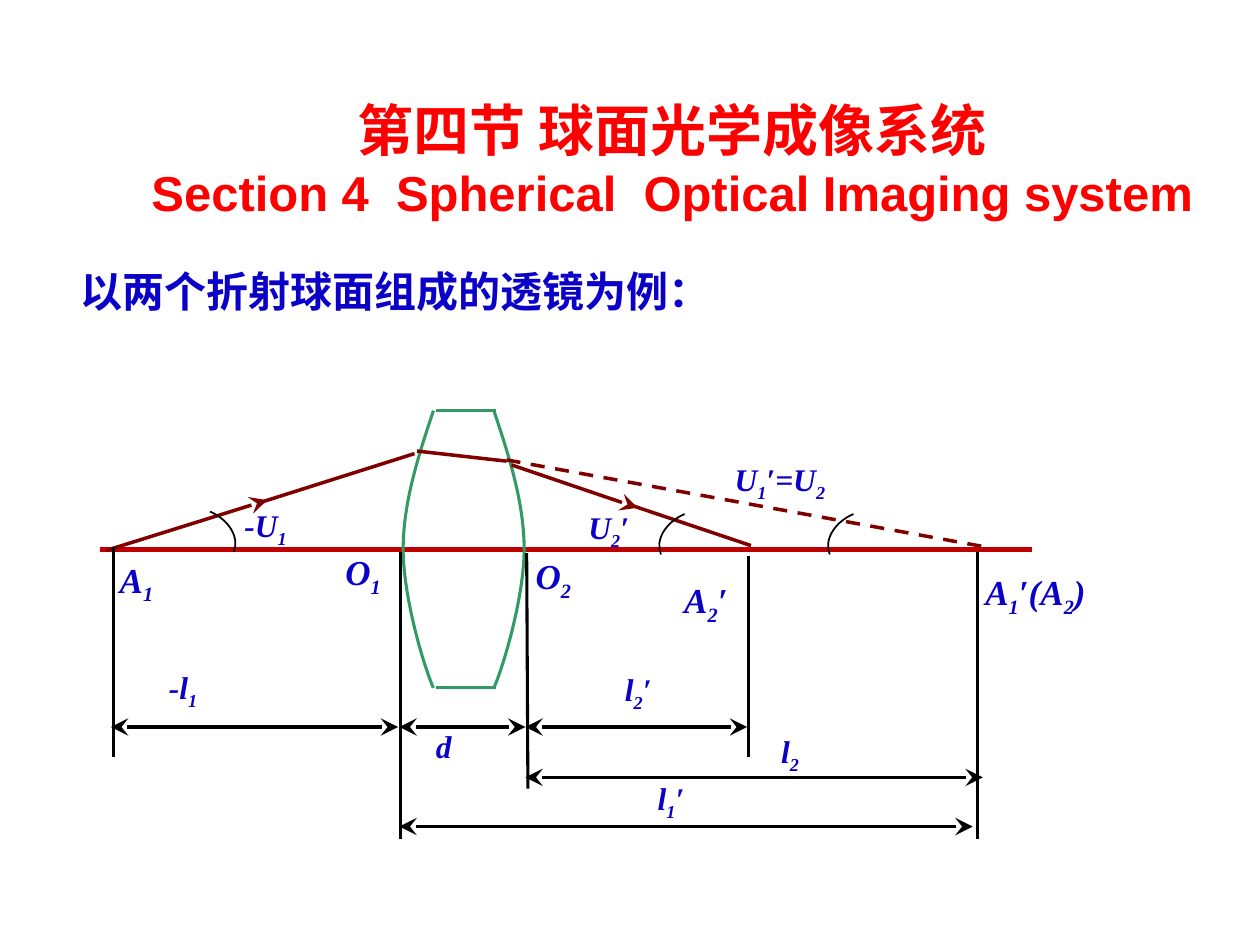
from pptx import Presentation
from pptx.dml.color import RGBColor
from pptx.enum.dml import MSO_LINE
from pptx.enum.shapes import MSO_CONNECTOR
from pptx.enum.text import MSO_ANCHOR, MSO_AUTO_SIZE, PP_ALIGN
from pptx.oxml.ns import qn
from pptx.oxml.xmlchemy import OxmlElement
from pptx.util import Inches, Pt

RED, BLUE, AXIS, GREEN, RAY, BLACK = "FF0000", "0A00C8", "C00000", "339966", "800000", "000000"
CHINESE, LATIN, SYMBOL = "Noto Sans CJK SC", "Arial", "Times New Roman"


def color(value):
    return RGBColor.from_string(value)


def set_all(target, values):
    for name, value in values.items():
        setattr(target, name, value)


def add_element(parent, tag, **attributes):
    element = OxmlElement(tag)
    for name, value in attributes.items():
        element.set(name, str(value))
    parent.append(element)
    return element


class LensDiagram:
    """Draws styled text, lines and curves of an optical diagram on one slide."""

    frame_defaults = {"word_wrap": True, "auto_size": MSO_AUTO_SIZE.NONE}
    label_frame = {"margin_left": 0, "margin_right": 0, "margin_top": 0, "margin_bottom": 0,
                   "auto_size": MSO_AUTO_SIZE.SHAPE_TO_FIT_TEXT}

    def __init__(self, slide):
        self.slide = slide

    def text_frame(self, box, values):
        frame = self.slide.shapes.add_textbox(*map(Inches, box)).text_frame
        set_all(frame, {**self.frame_defaults, **values})
        return frame

    def run(self, paragraph, text, size, font_name, hex_color, italic=False):
        run = paragraph.add_run()
        run.text = text
        set_all(run.font, {"name": font_name, "size": Pt(size), "bold": True, "italic": italic})
        run.font.color.rgb = color(hex_color)
        add_element(run.font._element, "a:ea", typeface=font_name)
        return run

    def title(self, box, first_line, second_line):
        paragraph = self.text_frame(box, {"vertical_anchor": MSO_ANCHOR.MIDDLE}).paragraphs[0]
        paragraph.alignment = PP_ALIGN.CENTER
        self.run(paragraph, first_line, 32, CHINESE, RED)
        paragraph.add_line_break()
        self.run(paragraph, second_line, 28, LATIN, RED)

    def body(self, box, text):
        paragraph = self.text_frame(box, {}).paragraphs[0]
        paragraph.space_before = Pt(5)
        properties = paragraph._element.get_or_add_pPr()
        properties.set("marL", str(Inches(0.67)))
        properties.set("indent", str(-Inches(0.67)))
        self.run(paragraph, text, 24, CHINESE, BLUE)

    def label(self, text, left, top, width, size):
        box = (left, top, width, size / 60)
        paragraph = self.text_frame(box, self.label_frame).paragraphs[0]
        base, *indexed = text.split("_")
        self.run(paragraph, base, size, SYMBOL, BLUE, True)
        for part in indexed:
            subscript = self.run(paragraph, part[0], size, SYMBOL, BLUE, True)
            subscript.font._element.set("baseline", "-25000")
            if part[1:]:
                self.run(paragraph, part[1:], size, SYMBOL, BLUE, True)

    def line(self, start, end, hex_color, width, arrows=(), dash=None):
        connector = self.slide.shapes.add_connector(
            MSO_CONNECTOR.STRAIGHT, *map(Inches, (*start, *end)))
        connector.line.color.rgb = color(hex_color)
        set_all(connector.line, {"width": Pt(width), "dash_style": dash})
        properties = connector._element.spPr
        for arrow in arrows:
            add_element(properties.find(qn("a:ln")), f"a:{arrow}",
                        type="stealth", w="lg", len="lg")
        add_element(properties, "a:effectLst")

    def curve(self, start, segments, hex_color, width, rotation=0):
        anchors = [start] + [segment[-1] for segment in segments]
        anchors = [(Inches(x), Inches(y)) for x, y in anchors]
        builder = self.slide.shapes.build_freeform(*anchors[0])
        builder.add_line_segments(anchors[1:], close=False)
        shape = builder.convert_to_shape()
        outline = next(shape._element.iter(qn("a:path")))
        for straight, segment in zip(outline.findall(qn("a:lnTo")), segments):
            bend = OxmlElement("a:cubicBezTo")
            for x, y in segment:
                add_element(bend, "a:pt", x=Inches(x) - shape.left, y=Inches(y) - shape.top)
            outline.replace(straight, bend)
        shape.shadow.inherit = False
        shape.fill.background()
        shape.line.color.rgb = color(hex_color)
        set_all(shape.line, {"width": Pt(width)})
        shape.rotation = rotation

    def lens_face(self, edge, bulge):
        x = edge + bulge
        self.curve((edge, 3.26), [
            ((edge + bulge / 2, 3.62), (x, 3.99), (x, 4.36)),
            ((x, 4.73), (edge + bulge / 3, 5.28), (edge, 5.46))], GREEN, 1.75)

    def angle_arc(self, start, top, side, rotation):
        self.curve((start, top), [((start + 0.12 * side, top), (start + 0.22 * side, top + 0.13),
                                   (start + 0.22 * side, top + 0.3))], BLACK, 1, rotation)


def main():
    presentation = Presentation()
    set_all(presentation, {"slide_width": Inches(10), "slide_height": Inches(7.5)})
    diagram = LensDiagram(presentation.slides.add_slide(presentation.slide_layouts[6]))

    diagram.title((0.55, 0.87, 9.57, 0.77), "第四节 球面光学成像系统",
                  "Section 4  Spherical  Optical Imaging system")
    diagram.body((0.54, 2.06, 8.67, 0.71), "以两个折射球面组成的透镜为例：")

    diagram.line((0.79, 4.36), (8.19, 4.36), AXIS, 3)
    diagram.lens_face(3.44, -0.24)
    diagram.lens_face(3.92, 0.24)
    for y in (5.46, 3.26):
        diagram.line((3.46, y), (3.94, y), GREEN, 1.75)

    for start, end, arrows, dash in (
        ((0.84, 4.37), (2.12, 3.97), ("tailEnd",), None),
        ((2.06, 3.99), (3.29, 3.6), (), None),
        ((3.31, 3.58), (4.02, 3.66), (), None),
        ((4.02, 3.65), (7.87, 4.35), (), MSO_LINE.DASH),
        ((4.06, 3.69), (5.06, 4.03), ("tailEnd",), None),
        ((5.01, 4.01), (5.96, 4.33), (), None),
    ):
        diagram.line(start, end, RAY, 2, arrows, dash)

    for start, top, side, rotation in ((1.87, 4.07, -1, 113.4), (5.23, 4.09, 1, 246.6),
                                       (6.57, 4.09, 1, 246.6)):
        diagram.angle_arc(start, top, side, rotation)

    for x, top, foot, bottom in ((0.9, 4.34, 0.9, 6.01), (3.18, 4.38, 3.18, 6.66),
                                 (4.18, 4.39, 4.19, 6.26), (5.94, 4.41, 5.94, 6.01),
                                 (7.76, 4.38, 7.76, 6.66)):
        diagram.line((x, top), (foot, bottom), BLACK, 1.75)
    for left, right, y in ((0.88, 3.16, 5.77), (4.17, 7.8, 6.17), (3.17, 7.72, 6.56),
                           (3.17, 4.17, 5.77), (4.17, 5.93, 5.77)):
        diagram.line((left, y), (right, y), BLACK, 2, ("headEnd", "tailEnd"))

    for label in (
        ("-l_1", 1.34, 5.3, 0.31, 18), ("-U_1", 1.94, 4.02, 0.55, 18),
        ("d", 3.46, 5.77, 0.31, 18), ("l_2′", 4.96, 5.32, 0.55, 18),
        ("l_2", 6.2, 5.81, 0.31, 18), ("O_1", 2.74, 4.37, 0.55, 20),
        ("O_2", 4.25, 4.4, 0.55, 20), ("U_2′", 4.67, 4.03, 0.55, 18),
        ("U_1′=U_2", 5.83, 3.65, 0.95, 18), ("A_2′", 5.43, 4.59, 0.55, 20),
        ("A_1′(A_2)", 7.82, 4.53, 1.07, 20), ("A_1", 0.95, 4.43, 0.55, 20),
        ("l_1′", 5.22, 6.18, 0.55, 18),
    ):
        diagram.label(*label)

    presentation.save("out.pptx")


if __name__ == "__main__":
    main()
